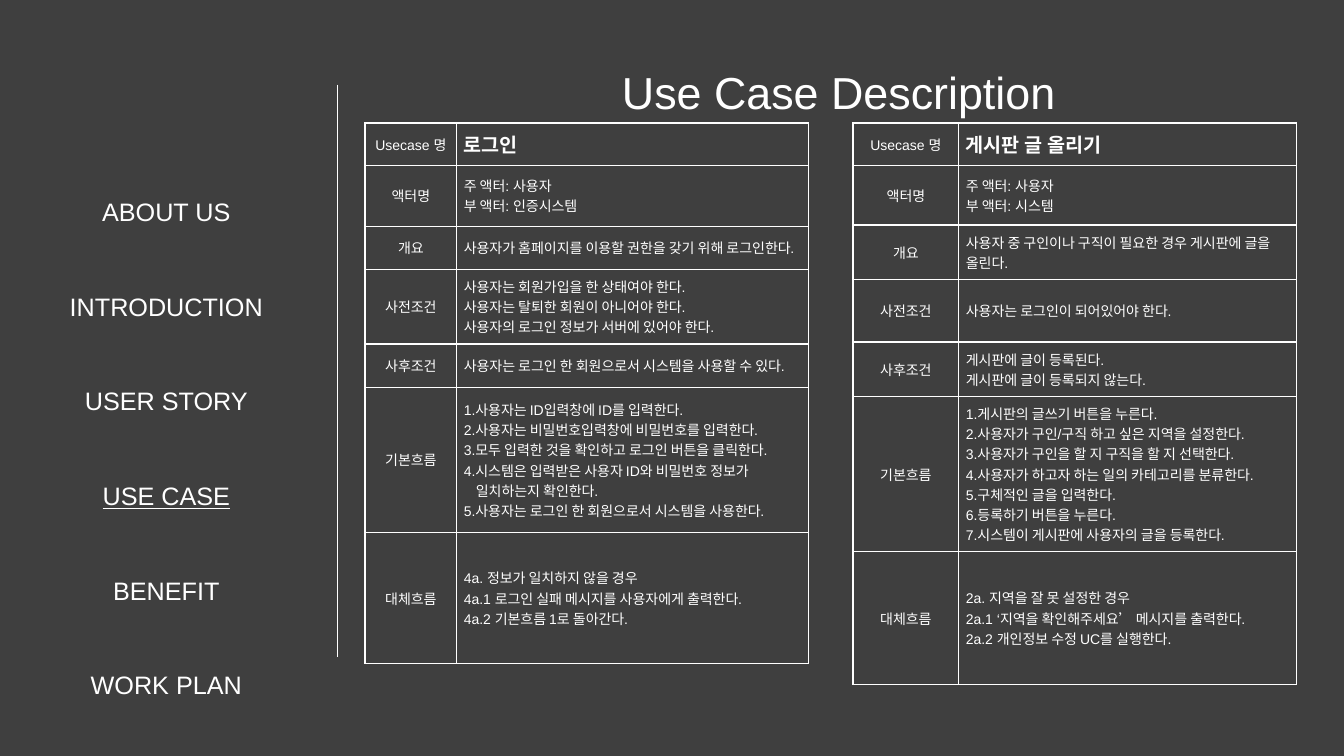
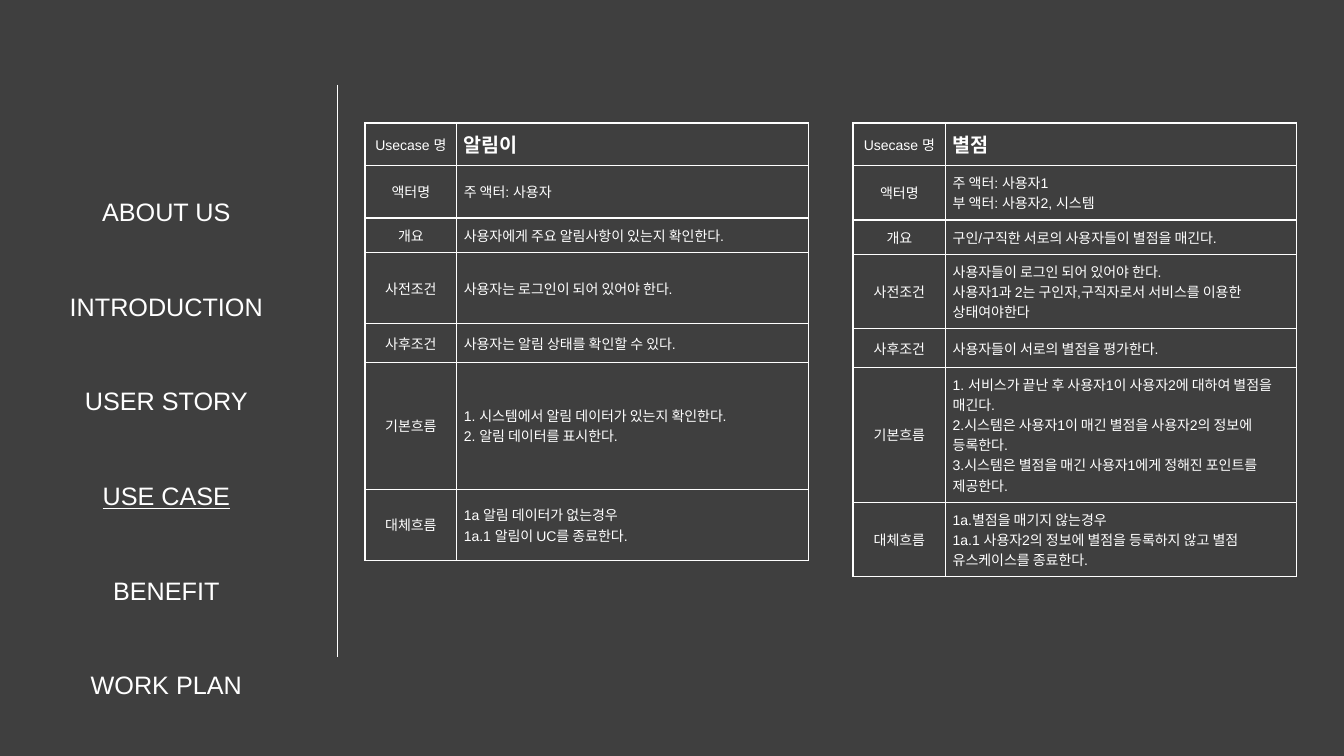
"""Build the two use case description slides."""
from lxml import etree
from pptx import Presentation
from pptx.dml.color import RGBColor
from pptx.enum.shapes import MSO_CONNECTOR
from pptx.enum.text import MSO_ANCHOR, MSO_AUTO_SIZE, PP_ALIGN
from pptx.oxml.ns import qn
from pptx.util import Emu, Pt

STRAIGHT = MSO_CONNECTOR.STRAIGHT
TOP, MIDDLE = MSO_ANCHOR.TOP, MSO_ANCHOR.MIDDLE
NO_FIT = MSO_AUTO_SIZE.NONE
LEFT, CENTER = PP_ALIGN.LEFT, PP_ALIGN.CENTER

WHITE = RGBColor(0xFF, 0xFF, 0xFF)
CHARCOAL = RGBColor(0x3F, 0x3F, 0x3F)
FONT = "Arial"
EMU_PER_PX = 9144
TITLE_AND_CONTENT = 1

MENU = ["ABOUT US", "INTRODUCTION", "USER STORY", "USE CASE", "BENEFIT", "WORK PLAN"]
CURRENT = "USE CASE"
LABELS = ["Usecase 명", "액터명", "개요", "사전조건", "사후조건", "기본흐름", "대체흐름"]
TABLE_TOP = 122
TABLE_WIDTH = 440
LEFT_TABLE, RIGHT_TABLE = 362, 846

LOGIN = [
    "로그인",
    "주 액터: 사용자\n부 액터: 인증시스템",
    "사용자가 홈페이지를 이용할 권한을 갖기 위해 로그인한다.",
    "사용자는 회원가입을 한 상태여야 한다.\n"
    "사용자는 탈퇴한 회원이 아니어야 한다.\n"
    "사용자의 로그인 정보가 서버에 있어야 한다.",
    "사용자는 로그인 한 회원으로서 시스템을 사용할 수 있다.",
    "1.사용자는 ID입력창에 ID를 입력한다.\n"
    "2.사용자는 비밀번호입력창에 비밀번호를 입력한다.\n"
    "3.모두 입력한 것을 확인하고 로그인 버튼을 클릭한다.\n"
    "4.시스템은 입력받은 사용자 ID와 비밀번호 정보가\v일치하는지 확인한다.\n"
    "5.사용자는 로그인 한 회원으로서 시스템을 사용한다.",
    "4a. 정보가 일치하지 않을 경우\n"
    "4a.1 로그인 실패 메시지를 사용자에게 출력한다.\n"
    "4a.2 기본흐름 1로 돌아간다.",
]
POSTING = [
    "게시판 글 올리기",
    "주 액터: 사용자\n부 액터: 시스템",
    "사용자 중 구인이나 구직이 필요한 경우 게시판에 글을 올린다.",
    "사용자는 로그인이 되어있어야 한다.",
    "게시판에 글이 등록된다.\n게시판에 글이 등록되지 않는다.",
    "1.게시판의 글쓰기 버튼을 누른다.\n"
    "2.사용자가 구인/구직 하고 싶은 지역을 설정한다.\n"
    "3.사용자가 구인을 할 지 구직을 할 지 선택한다.\n"
    "4.사용자가 하고자 하는 일의 카테고리를 분류한다.\n"
    "5.구체적인 글을 입력한다.\n"
    "6.등록하기 버튼을 누른다.\n"
    "7.시스템이 게시판에 사용자의 글을 등록한다.",
    "2a. 지역을 잘 못 설정한 경우\n"
    "2a.1 ‘지역을 확인해주세요’ 메시지를 출력한다.\n"
    "2a.2 개인정보 수정 UC를 실행한다.",
]
NOTICE = [
    "알림이",
    "주 액터: 사용자",
    "사용자에게 주요 알림사항이 있는지 확인한다.",
    "사용자는 로그인이 되어 있어야 한다.",
    "사용자는 알림 상태를 확인할 수 있다.",
    "1. 시스템에서 알림 데이터가 있는지 확인한다.\n2. 알림 데이터를 표시한다.",
    "1a 알림 데이터가 없는경우\n1a.1 알림이 UC를 종료한다.",
]
RATING = [
    "별점",
    "주 액터: 사용자1\n부 액터: 사용자2, 시스템",
    "구인/구직한 서로의 사용자들이 별점을 매긴다.",
    "사용자들이 로그인 되어 있어야 한다.\n"
    "사용자1과 2는 구인자,구직자로서 서비스를 이용한 상태여야한다",
    "사용자들이 서로의 별점을 평가한다.",
    "1. 서비스가 끝난 후 사용자1이 사용자2에 대하여 별점을 매긴다.\n"
    "2.시스템은 사용자1이 매긴 별점을 사용자2의 정보에 등록한다.\n"
    "3.시스템은 별점을 매긴 사용자1에게 정해진 포인트를 제공한다.",
    "1a.별점을 매기지 않는경우\n"
    "1a.1 사용자2의 정보에 별점을 등록하지 않고 별점 유스케이스를 종료한다.",
]


def px(length):
    """Turn whole pixels into EMU."""
    return Emu(length * EMU_PER_PX)


def place(shape, left, top, width, height):
    """Move and size a shape."""
    shape.left, shape.top = px(left), px(top)
    shape.width, shape.height = px(width), px(height)


def style(para, size, align, bold=False):
    """Format a paragraph and all its runs."""
    para.alignment = align
    for span in para.runs:
        span.font.name = FONT
        span.font.size = Pt(size)
        span.font.bold = bold
        span.font.color.rgb = WHITE


def hang(para, indent):
    """Indent every line of a paragraph but the first."""
    properties = para._p.get_or_add_pPr()
    properties.set("marL", str(px(indent)))
    properties.set("indent", str(px(-indent)))


def add_divider(page):
    """Draw the rule between the menu and the content."""
    rule = page.shapes.add_connector(STRAIGHT, px(335), px(84), px(335), px(652))
    rule.line.color.rgb = WHITE
    rule.line.width = Pt(0.75)
    etree.SubElement(rule._element.spPr, qn("a:effectLst"))


def fill_title(page, text):
    """Write the title, or remove its placeholder when there is none."""
    box = page.shapes.title
    if not text:
        box._element.getparent().remove(box._element)
        return
    place(box, 335, 59, 994, 64)
    frame = box.text_frame
    frame.text = text
    frame.auto_size = NO_FIT
    frame.vertical_anchor = TOP
    style(frame.paragraphs[0], 32, CENTER)


def fill_menu(page):
    """Write the section menu with the current section underlined."""
    box = page.placeholders[1]
    place(box, 0, 126, 330, 448)
    frame = box.text_frame
    frame.text = "\n".join(MENU)
    frame.auto_size = NO_FIT
    frame.vertical_anchor = TOP
    for para in frame.paragraphs:
        hang(para, 0)
        etree.SubElement(para._p.get_or_add_pPr(), qn("a:buNone"))
        para.line_spacing = 3.13
        para.space_before = Pt(0)
        style(para, 18, CENTER)
        para.runs[0].font.underline = para.text == CURRENT


def add_borders(cell):
    """Draw a white one-point border on each side of a cell."""
    properties = cell._tc.get_or_add_tcPr()
    for position, side in enumerate(("lnL", "lnR", "lnT", "lnB")):
        line = etree.Element(qn(f"a:{side}"), w=str(Pt(1)))
        fill = etree.SubElement(line, qn("a:solidFill"))
        etree.SubElement(fill, qn("a:srgbClr"), val=str(WHITE))
        properties.insert(position, line)


def fill_cell(cell, text, align, size=10, bold=False):
    """Write and format one table cell."""
    cell.text_frame.text = text
    cell.vertical_anchor = MIDDLE
    cell.margin_left = cell.margin_right = px(7)
    cell.margin_top = cell.margin_bottom = px(7)
    cell.fill.background()
    add_borders(cell)
    for para in cell.text_frame.paragraphs:
        if "\v" in para.text:
            hang(para, 12)
        style(para, size, align, bold)


def add_use_case(page, left, label_width, heights, texts):
    """Add the table that describes one use case."""
    frame = page.shapes.add_table(len(LABELS), 2, px(left), px(TABLE_TOP),
                                  px(TABLE_WIDTH), px(sum(heights)))
    table = frame.table
    table.first_row = table.horz_banding = False
    table.columns[0].width = px(label_width)
    table.columns[1].width = px(TABLE_WIDTH - label_width)
    for index, (label, text, height) in enumerate(zip(LABELS, texts, heights)):
        table.rows[index].height = px(height)
        is_name = index == 0
        fill_cell(table.cell(index, 0), label, CENTER)
        fill_cell(table.cell(index, 1), text, LEFT, 14 if is_name else 10, is_name)


def add_page(deck, title=""):
    """Add a slide with the shared menu and divider."""
    page = deck.slides.add_slide(deck.slide_layouts[TITLE_AND_CONTENT])
    fill_title(page, title)
    fill_menu(page)
    add_divider(page)
    return page


def main():
    """Build and save the deck."""
    deck = Presentation()
    deck.slide_width, deck.slide_height = px(1333), px(750)
    background = deck.slide_master.background.fill
    background.solid()
    background.fore_color.rgb = CHARCOAL

    page = add_page(deck, "Use Case Description")
    add_use_case(page, RIGHT_TABLE, 105, [37, 59, 48, 62, 47, 144, 132], POSTING)
    add_use_case(page, LEFT_TABLE, 91, [34, 60, 43, 59, 43, 144, 130], LOGIN)

    page = add_page(deck)
    add_use_case(page, RIGHT_TABLE, 92, [41, 52, 34, 71, 38, 126, 68], RATING)
    add_use_case(page, LEFT_TABLE, 91, [41, 52, 34, 71, 38, 126, 71], NOTICE)

    deck.save("out.pptx")


if __name__ == "__main__":
    main()
